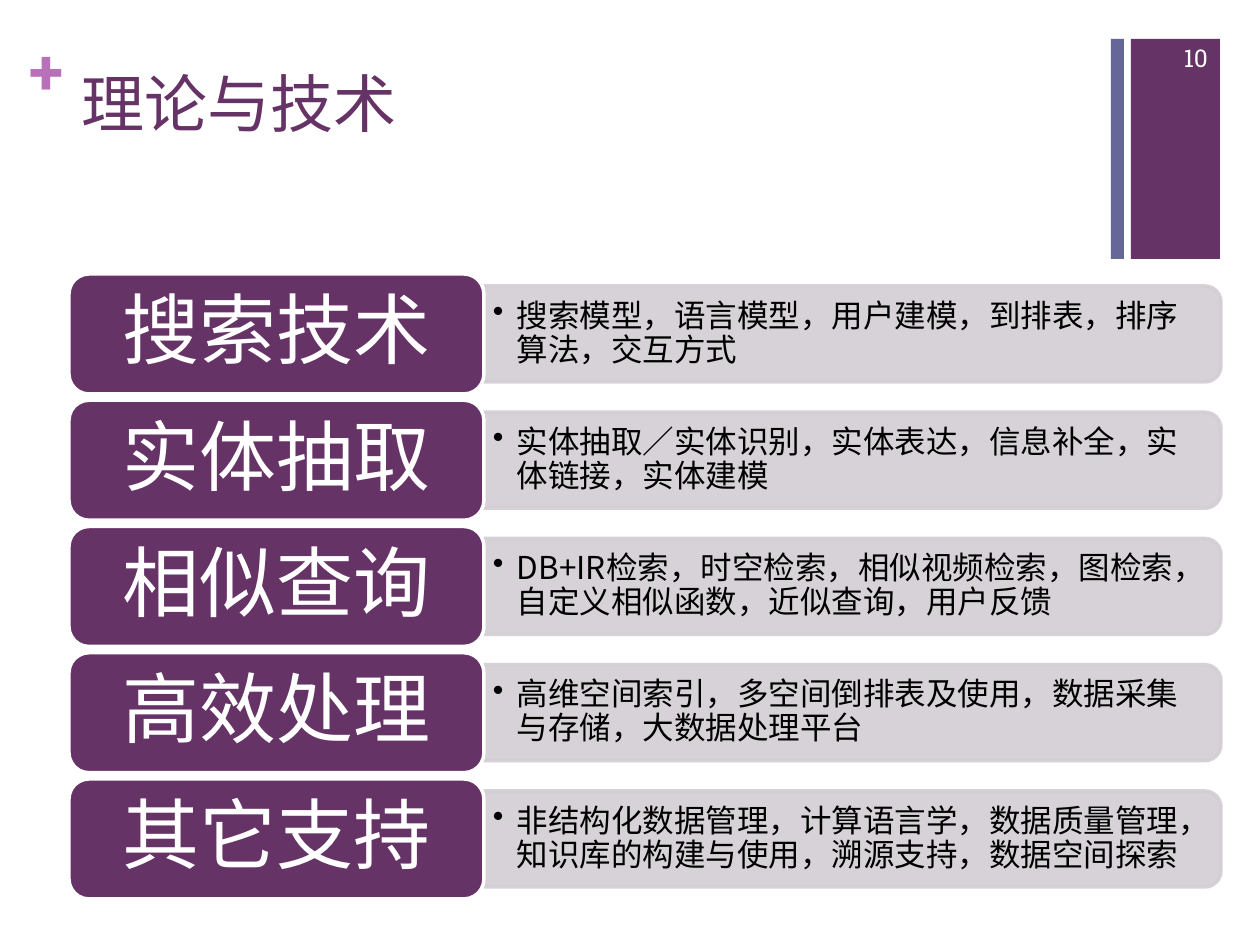
from lxml import etree
from pptx import Presentation
from pptx.dml.color import RGBColor
from pptx.enum.shapes import MSO_SHAPE
from pptx.enum.text import MSO_ANCHOR, PP_ALIGN
from pptx.oxml.ns import qn
from pptx.util import Emu, Pt

RECTANGLE = MSO_SHAPE.RECTANGLE
ROUNDED = MSO_SHAPE.ROUNDED_RECTANGLE
ROUNDED_TOP = MSO_SHAPE.ROUND_2_SAME_RECTANGLE
TOP, MIDDLE = MSO_ANCHOR.TOP, MSO_ANCHOR.MIDDLE
LEFT, CENTER, RIGHT = PP_ALIGN.LEFT, PP_ALIGN.CENTER, PP_ALIGN.RIGHT

# Content
TITLE = "理论与技术"
PAGE_NUMBER = "10"
TOPICS = [
    ("搜索技术", "搜索模型，语言模型，用户建模，到排表，排序算法，交互方式"),
    ("实体抽取", "实体抽取／实体识别，实体表达，信息补全，实体链接，实体建模"),
    ("相似查询", "DB+IR检索，时空检索，相似视频检索，图检索，自定义相似函数，近似查询，用户反馈"),
    ("高效处理", "高维空间索引，多空间倒排表及使用，数据采集与存储，大数据处理平台"),
    ("其它支持", "非结构化数据管理，计算语言学，数据质量管理，知识库的构建与使用，溯源支持，数据空间探索"),
]

# Style
CJK, SLAB = "Noto Sans CJK SC", "Roboto Slab"
PURPLE, BLUE, PINK = "663366", "666699", "B870B8"
GRAY, WHITE, BLACK = "D3CED3", "FFFFFF", "000000"

# Layout in px
PX = 914400 // 126
FIRST_TOP, LAST_TOP = 274, 779
LABEL_LEFT, LABEL_WIDTH, LABEL_HEIGHT = 69, 415, 120
BAR_WIDTH, BAR_HEIGHT = 737, 96
DETAIL_WIDTH, DETAIL_HEIGHT = 732, 87
BULLET_INDENT = 24


def px(value):
    return Emu(round(value * PX))


def color(value):
    return RGBColor.from_string(value)


def add_box(slide, kind, left, top, width, height, fill, line=None, alpha=None):
    shape = slide.shapes.add_shape(kind, px(left), px(top), px(width), px(height))
    shape.shadow.inherit = False
    shape.fill.solid()
    shape.fill.fore_color.rgb = color(fill)
    if line:
        shape.line.color.rgb = color(line)
        shape.line.width = Pt(2)
    else:
        shape.line.fill.background()
    if alpha:
        for rgb in shape._element.spPr.iter(qn("a:srgbClr")):
            etree.SubElement(rgb, qn("a:alpha"), val=str(alpha * 1000))
    return shape


def add_text_box(slide, left, top, width, height):
    return slide.shapes.add_textbox(px(left), px(top), px(width), px(height))


def write(shape, text, size, fill, font=CJK, bold=False, align=LEFT, anchor=MIDDLE,
          insets=(13, 6), spacing=None, bullet=False, wrap=True):
    frame = shape.text_frame
    frame.word_wrap = wrap
    frame.vertical_anchor = anchor
    frame.margin_left = frame.margin_right = px(insets[0])
    frame.margin_top = frame.margin_bottom = px(insets[1])
    paragraph = frame.paragraphs[0]
    paragraph.alignment = align
    if spacing:
        paragraph.line_spacing = spacing
    if bullet:
        properties = paragraph._p.get_or_add_pPr()
        properties.set("marL", str(px(BULLET_INDENT)))
        properties.set("indent", str(-px(BULLET_INDENT)))
        etree.SubElement(properties, qn("a:buChar"), char="•")
    run = paragraph.add_run()
    run.text = text
    run.font.size = Pt(size)
    run.font.bold = bold
    run.font.name = font
    run.font.color.rgb = color(fill)
    etree.SubElement(run._r.get_or_add_rPr(), qn("a:ea"), typeface=font)


def add_topic(slide, top, label, detail):
    middle = top + LABEL_HEIGHT / 2
    bar_left = LABEL_LEFT + LABEL_WIDTH
    # The bar is an upright shape turned so that its round corners face right
    bar = add_box(slide, ROUNDED_TOP, bar_left + (BAR_WIDTH - BAR_HEIGHT) / 2,
                  middle - BAR_WIDTH / 2, BAR_HEIGHT, BAR_WIDTH, GRAY, GRAY, alpha=90)
    bar.rotation = 90
    detail_box = add_text_box(slide, bar_left, middle - DETAIL_HEIGHT / 2,
                              DETAIL_WIDTH, DETAIL_HEIGHT)
    write(detail_box, detail, 18, BLACK, insets=(9, 5), spacing=0.9, bullet=True)
    label_box = add_box(slide, ROUNDED, LABEL_LEFT, top, LABEL_WIDTH, LABEL_HEIGHT,
                        PURPLE, WHITE)
    write(label_box, label, 44, WHITE, align=CENTER, insets=(28, 17), spacing=0.9)


def main():
    presentation = Presentation()
    presentation.slide_width, presentation.slide_height = px(1260), px(945)
    slide = presentation.slides.add_slide(presentation.slide_layouts[5])

    # Corner decoration
    add_box(slide, RECTANGLE, 1131, 39, 89, 220, PURPLE)
    add_box(slide, RECTANGLE, 1111, 39, 13, 220, BLUE)
    write(add_text_box(slide, 30, 32, 37, 77), "+", 36, PINK, font=SLAB, bold=True,
          anchor=TOP, insets=(0, 0), wrap=False)

    # Title
    title = slide.shapes.title
    title.left, title.top, title.width, title.height = px(69), px(67), px(1041), px(154)
    write(title, TITLE, 36, PURPLE, anchor=TOP, spacing=0.9)

    # Topic rows, evenly spread
    pitch = (LAST_TOP - FIRST_TOP) / (len(TOPICS) - 1)
    for index, (label, detail) in enumerate(TOPICS):
        add_topic(slide, FIRST_TOP + index * pitch, label, detail)

    # Page number
    write(add_text_box(slide, 1144, 33, 77, 50), PAGE_NUMBER, 14, WHITE, font=SLAB,
          align=RIGHT)

    presentation.save("out.pptx")


if __name__ == "__main__":
    main()
